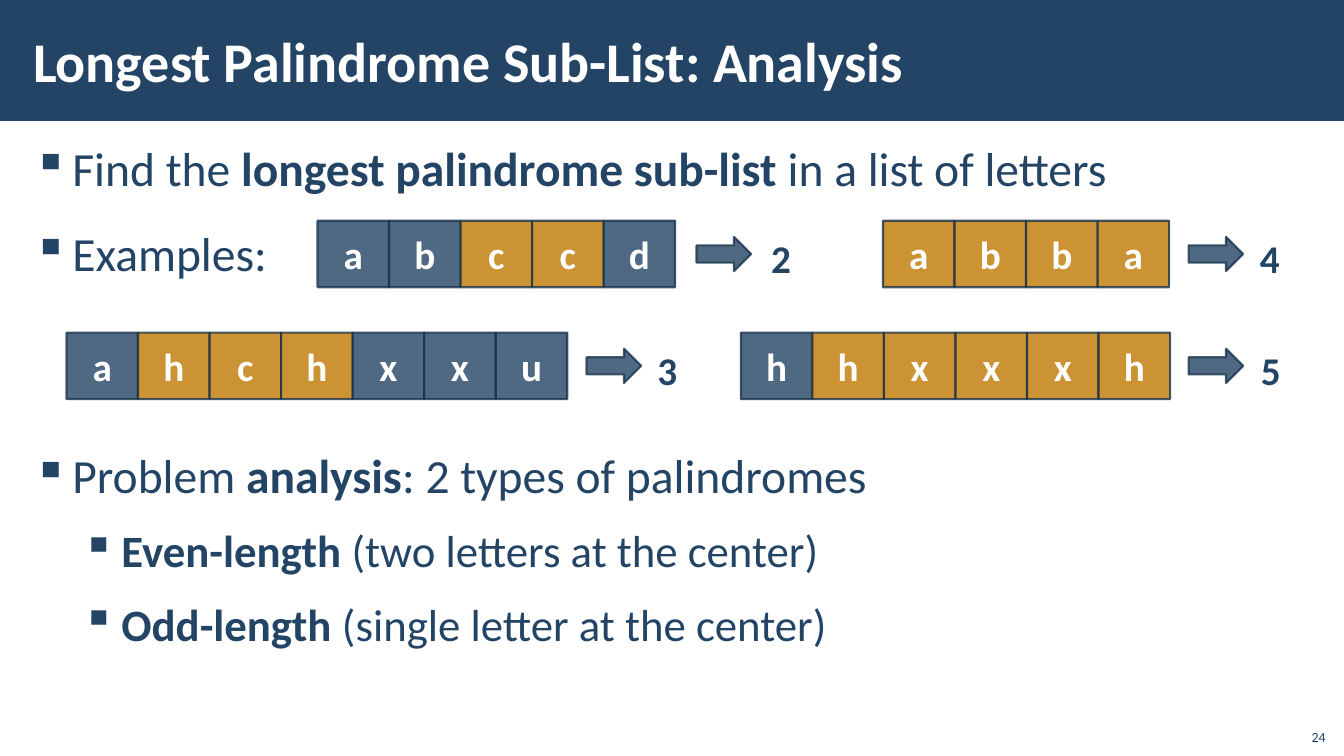
from lxml import etree
from pptx import Presentation
from pptx.dml.color import RGBColor
from pptx.enum.shapes import MSO_SHAPE
from pptx.enum.text import MSO_ANCHOR, PP_ALIGN
from pptx.oxml.ns import qn
from pptx.util import Pt

NAVY = RGBColor(0x23, 0x44, 0x65)
GOLD = RGBColor(0xBF, 0x78, 0x00)
EDGE = RGBColor(0x1A, 0x33, 0x4C)
WHITE = RGBColor(0xFF, 0xFF, 0xFF)
RECT, ARROW = MSO_SHAPE.RECTANGLE, MSO_SHAPE.RIGHT_ARROW
MIDDLE, BOTTOM = MSO_ANCHOR.MIDDLE, MSO_ANCHOR.BOTTOM
LEFT, CENTER, RIGHT = PP_ALIGN.LEFT, PP_ALIGN.CENTER, PP_ALIGN.RIGHT
FONT = "Calibri"

TITLE = "Longest Palindrome Sub-List: Analysis"
PAGE = "24"
# size, left margin, space before, [(text, bold)]
BULLETS = [
    (34, 28, 6, [("Find the ", False), ("longest palindrome sub-list", True),
                 (" in a list of letters", False)]),
    (34, 28, 12, [("Examples:", False)]),
    (34, 28, 110, [("Problem ", False), ("analysis", True),
                   (": 2 types of palindromes", False)]),
    (32, 63, 6, [("Even-length", True), (" (two letters at the center)", False)]),
    (32, 63, 6, [("Odd-length", True), (" (single letter at the center)", False)]),
]
ROW1, ROW2 = 157.7, 237.6
# letters, palindrome start, palindrome length, left, top, arrow left, number left
EXAMPLES = [
    ("abccd", 2, 2, 226.8, ROW1, 497.5, 539.3),
    ("ahchxxu", 1, 3, 47.5, ROW2, 419, 458),
    ("hhxxxh", 1, 5, 529.2, ROW2, 849, 889.2),
    ("abba", 0, 4, 630.7, ROW1, 849, 888.5),
]
CELL_W, CELL_H = 51.1, 47.5
ARROW_W, ARROW_H = 39, 24.5
BULLET_INDENT = 28


def set_insets(tf, x, y):
    tf.margin_left = tf.margin_right = Pt(x)
    tf.margin_top = tf.margin_bottom = Pt(y)


def style(p, size, color, bold=False, align=LEFT):
    p.alignment = align
    p.font.name, p.font.size, p.font.bold = FONT, Pt(size), bold
    p.font.color.rgb = color


def add_block(shapes, kind, x, y, w, h, color):
    """Add a translucent outlined shape."""
    sp = shapes.add_shape(kind, Pt(x), Pt(y), Pt(w), Pt(h))
    sp.shadow.inherit = False
    sp.fill.solid()
    sp.fill.fore_color.rgb = color
    sp.line.color.rgb = EDGE
    sp.line.width = Pt(1.5)
    for clr in sp._element.spPr.iter(qn("a:srgbClr")):
        etree.SubElement(clr, qn("a:alpha"), val="80000")
    return sp


def add_text(shapes, x, y, w, h):
    tf = shapes.add_textbox(Pt(x), Pt(y), Pt(w), Pt(h)).text_frame
    tf.word_wrap = True
    return tf


def add_bullets(s):
    tf = add_text(s.shapes, 15.1, 94.3, 930.2, 435.6)
    set_insets(tf, 8.6, 2.9)
    for i, (size, margin, before, runs) in enumerate(BULLETS):
        p = tf.add_paragraph() if i else tf.paragraphs[0]
        style(p, size, NAVY)
        p.line_spacing = 1.05
        p.space_before, p.space_after = Pt(before), Pt(6)
        pPr = p._p.get_or_add_pPr()
        pPr.set("marL", str(Pt(margin)))
        pPr.set("indent", str(-Pt(BULLET_INDENT)))
        bullet = etree.Element(qn("a:buChar"), char="▪")
        pPr.find(qn("a:defRPr")).addprevious(bullet)
        for text, bold in runs:
            r = p.add_run()
            r.text, r.font.bold = text, bold


def add_example(s, letters, start, length, left, top, arrow_x, number_x):
    shapes = s.shapes.add_group_shape().shapes
    for i, letter in enumerate(letters):
        color = GOLD if start <= i < start + length else NAVY
        sp = add_block(shapes, RECT, left + i * CELL_W, top, CELL_W, CELL_H, color)
        tf = sp.text_frame
        tf.text, tf.vertical_anchor = letter, MIDDLE
        style(tf.paragraphs[0], 28, WHITE, True, CENTER)
    arrow_y = top + (CELL_H - ARROW_H) / 2
    add_block(shapes, ARROW, arrow_x, arrow_y, ARROW_W, ARROW_H, NAVY)
    tf = add_text(shapes, number_x, top - 2.2, 37.4, 52.6)
    set_insets(tf, 11.5, 8.6)
    tf.text = str(length)
    style(tf.paragraphs[0], 28, NAVY, True)
    tf.paragraphs[0].line_spacing = 1.1


def main():
    prs = Presentation()
    prs.slide_width, prs.slide_height = Pt(960), Pt(540)
    s = prs.slides.add_slide(prs.slide_layouts[5])

    title = s.shapes.title
    title.left, title.top, title.width, title.height = Pt(15.1), Pt(7.9), Pt(765.4), Pt(69.8)
    tf = title.text_frame
    tf.text, tf.vertical_anchor = TITLE, MIDDLE
    set_insets(tf, 8.6, 2.9)
    style(tf.paragraphs[0], 40, WHITE, True)

    band = s.shapes.add_shape(RECT, 0, 0, prs.slide_width, Pt(86.4))
    band.shadow.inherit = False
    band.fill.solid()
    band.fill.fore_color.rgb = NAVY
    band.line.fill.background()
    title._element.addprevious(band._element)

    tf = add_text(s.shapes, 925.2, 512.6, 28.8, 23)
    tf.text, tf.vertical_anchor = PAGE, BOTTOM
    style(tf.paragraphs[0], 10, NAVY, align=RIGHT)

    add_bullets(s)
    for example in EXAMPLES:
        add_example(s, *example)
    prs.save("out.pptx")


if __name__ == "__main__":
    main()
